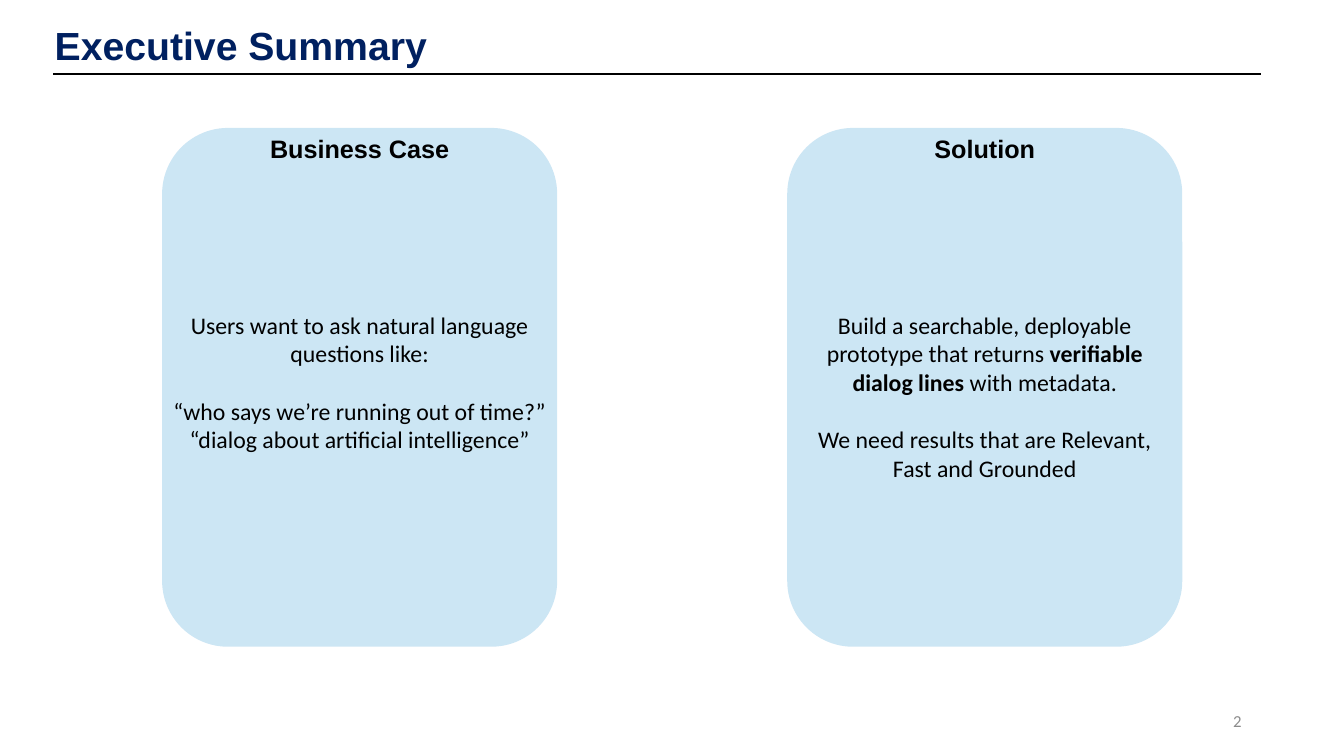
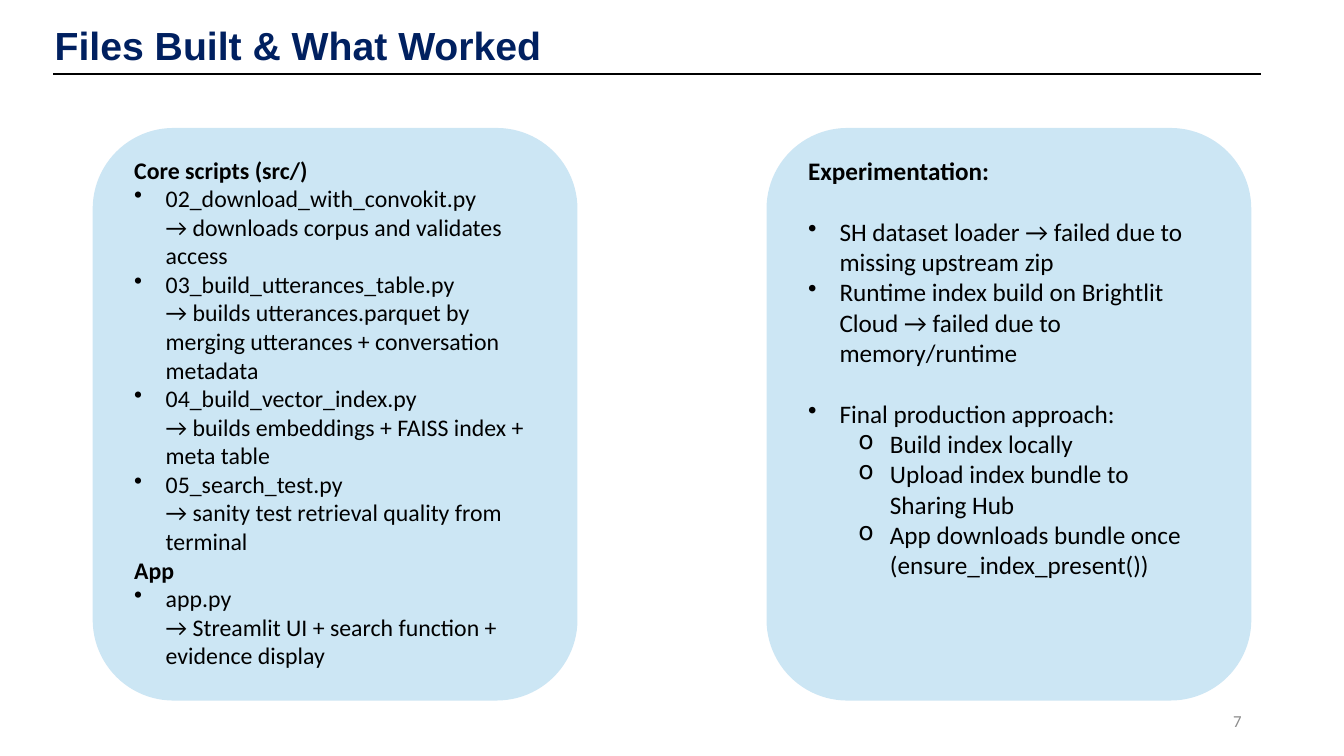
from pptx import Presentation
from pptx.dml.color import RGBColor
from pptx.enum import shapes, text
from pptx.oxml import ns, xmlchemy
from pptx.util import Pt

HUES = {"navy": "002060", "ink": "000000", "blue": "0082C8", "gray": "8C8C8C"}
ALIGN = text.PP_ALIGN
MARKS = {1: ("•", 22.5), 2: ("o", 58.5)}
HANG = 22.5

CASE = [("Users want to ask natural language questions like:", 0, 0),
        ("“who says we’re running out of time?”", 0, 1),
        ("“dialog about artificial intelligence”", 0, 0)]
PLAN = [("Build a searchable, deployable prototype that returns "
         "*verifiable dialog lines* with metadata.", 0, 0),
        ("We need results that are Relevant, Fast and Grounded", 0, 1)]
FILES = [("*Core scripts (src/)*", 0, 0),
         ("02_download_with_convokit.py\n→ downloads corpus and validates access", 1, 0),
         ("03_build_utterances_table.py\n→ builds utterances.parquet by merging "
          "utterances + conversation metadata", 1, 0),
         ("04_build_vector_index.py\n→ builds embeddings + FAISS index + meta table", 1, 0),
         ("05_search_test.py\n→ sanity test retrieval quality from terminal", 1, 0),
         ("*App*", 0, 0),
         ("app.py\n→ Streamlit UI + search function + evidence display", 1, 0)]
TRIALS = [("*Experimentation:*", 0, 0),
          ("SH dataset loader → failed due to missing upstream zip", 1, 1),
          ("Runtime index build on Brightlit Cloud → failed due to memory/runtime", 1, 0),
          ("Final production approach:", 1, 1),
          ("Build index locally", 2, 0),
          ("Upload index bundle to Sharing Hub", 2, 0),
          ("App downloads bundle once (ensure_index_present())", 2, 0)]


def tint(hue):
    """Return the named colour."""
    return RGBColor.from_string(HUES[hue])


def style(font, size, face="Calibri", hue="ink", bold=False):
    """Set the look of a font."""
    font.size, font.name, font.bold = Pt(size), face, bold
    font.color.rgb = tint(hue)


def frame(slide, box):
    """Add a wrapping text box and return its frame."""
    area = slide.shapes.add_textbox(*map(Pt, box)).text_frame
    area.word_wrap = True
    return area


def label(slide, box, words, align, *look):
    """Add one styled line of text and return its frame."""
    area = frame(slide, box)
    area.text = words
    para = area.paragraphs[0]
    para.alignment = align
    style(para.runs[0].font, *look)
    return area


def bullet(para, level):
    """Give a paragraph a hanging bullet."""
    mark, left = MARKS[level]
    para.level = level - 1
    props = para._p.get_or_add_pPr()
    props.set("marL", str(Pt(left)))
    props.set("indent", str(Pt(-HANG)))
    sign = xmlchemy.OxmlElement("a:buChar")
    sign.set("char", mark)
    props.append(sign)


def fill(para, words, size):
    """Write text in which stars enclose bold words."""
    for part, piece in enumerate(words.split("*")):
        for row, line in enumerate(piece.split("\n")):
            if row:
                para.add_line_break()
            if line:
                run = para.add_run()
                run.text = line
                style(run.font, size, bold=part % 2 == 1)
    for stop in para._p.findall(ns.qn("a:br")):
        look = xmlchemy.OxmlElement("a:rPr")
        look.set("sz", str(size * 100))
        stop.append(look)


def body(slide, box, items, size, align=ALIGN.LEFT):
    """Add paragraphs given as text, bullet level and lines of gap."""
    area = frame(slide, box)
    for spot, (words, level, gap) in enumerate(items):
        para = area.add_paragraph() if spot else area.paragraphs[0]
        para.alignment = align
        para.space_before = Pt(gap * size * 1.22)
        if level:
            bullet(para, level)
        fill(para, words, size)


def panel(slide, box):
    """Add a pale rounded panel."""
    form = slide.shapes.add_shape(shapes.MSO_SHAPE.ROUNDED_RECTANGLE, *map(Pt, box))
    form.shadow.inherit = False
    form.fill.solid()
    form.fill.fore_color.rgb = tint("blue")
    form.line.fill.background()
    alpha = xmlchemy.OxmlElement("a:alpha")
    alpha.set("val", "20000")
    form._element.spPr.find(".//" + ns.qn("a:srgbClr")).append(alpha)


def pitch(slide, box, head, items):
    """Add a panel with a centred heading and message."""
    left, top, wide, _ = box
    panel(slide, box)
    label(slide, (left + 62.6, top, wide - 125.2, 29), head, ALIGN.CENTER,
          18, "Arial", "ink", True)
    body(slide, (left, top + 126.7, wide, 140), items, 17, ALIGN.CENTER)


def notes(slide, box, items, size):
    """Add a panel with an inset list."""
    left, top, wide, high = box
    panel(slide, box)
    body(slide, (left + 22.6, top + 16, wide - 45.2, high - 16), items, size)


def page(deck, title, number):
    """Add a slide with its title, rule and number."""
    slide = deck.slides.add_slide(deck.slide_layouts[6])
    rule = slide.shapes.add_connector(shapes.MSO_CONNECTOR.STRAIGHT,
                                      Pt(38.2), Pt(52.7), Pt(900.7), Pt(52.7))
    rule.line.color.rgb = tint("ink")
    rule.line.width = Pt(1.5)
    rule._element.spPr.append(xmlchemy.OxmlElement("a:effectLst"))
    area = label(slide, (38.2, 12.2, 775.4, 36.7), title, ALIGN.LEFT,
                 28, "Arial", "navy", True)
    area.margin_left, area.margin_right, area.margin_bottom = Pt(0.9), 0, 0
    area.margin_top = Pt(2)
    area.vertical_anchor = text.MSO_ANCHOR.BOTTOM
    foot = label(slide, (678, 500.5, 216, 28.8), number, ALIGN.RIGHT,
                 12, "Calibri", "gray")
    foot.vertical_anchor = text.MSO_ANCHOR.MIDDLE
    return slide


def main():
    """Build and save the slides."""
    deck = Presentation()
    deck.slide_width, deck.slide_height = Pt(960), Pt(540)
    slide = page(deck, "Executive Summary", "2")
    pitch(slide, (115.8, 91.4, 282.2, 370.6), "Business Case", CASE)
    pitch(slide, (562.3, 91.4, 282.2, 370.6), "Solution", PLAN)
    slide = page(deck, "Files Built & What Worked", "7")
    notes(slide, (66.2, 91.4, 346.3, 409), FILES, 17)
    notes(slide, (547.5, 91.4, 346.3, 409), TRIALS, 18)
    deck.save("out.pptx")


if __name__ == "__main__":
    main()
